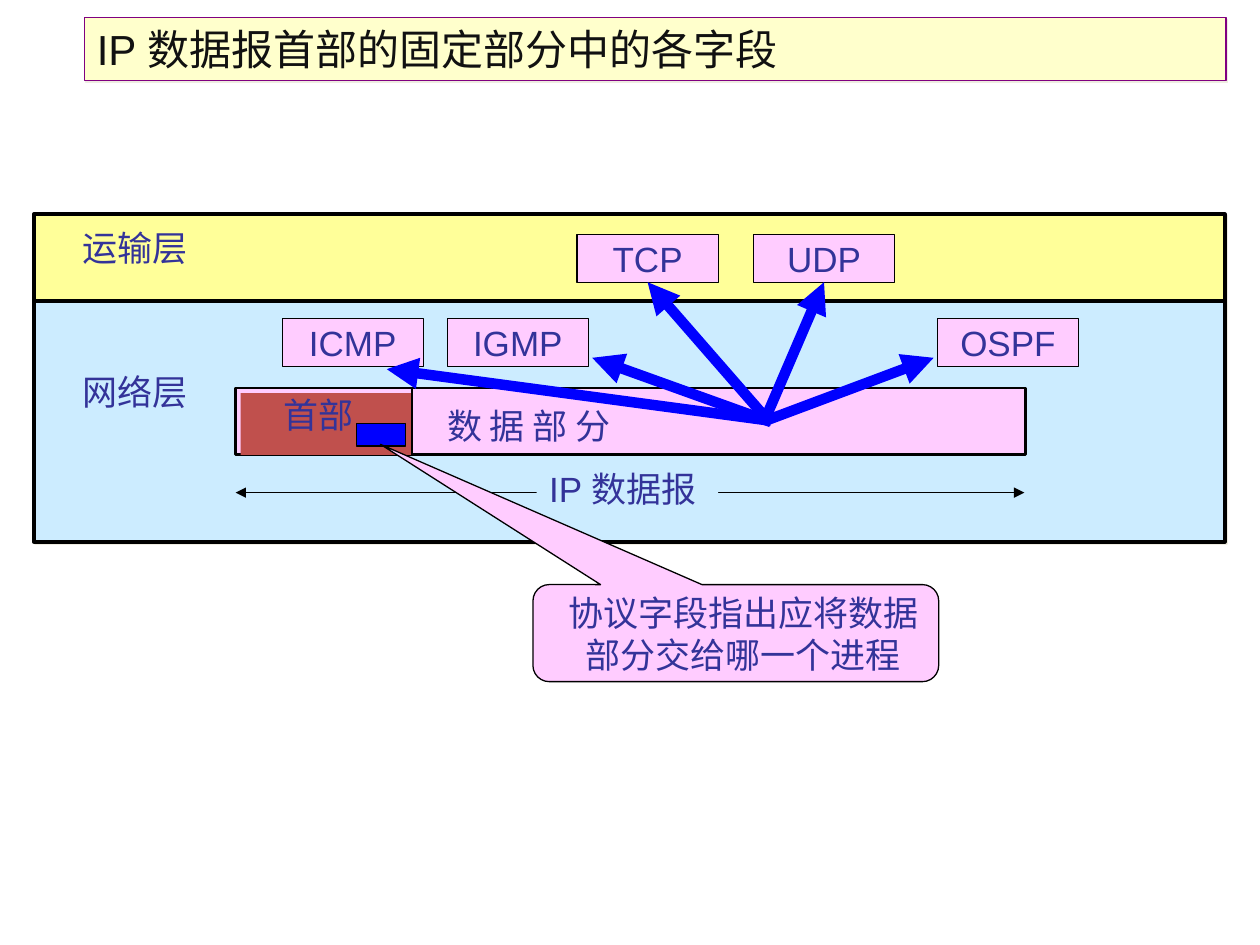
import pptx
import pptx.util
from pptx.dml.color import RGBColor
from pptx.enum.shapes import MSO_CONNECTOR, MSO_SHAPE
from pptx.enum.text import MSO_ANCHOR, PP_ALIGN
from pptx.oxml import parse_xml
from pptx.oxml.ns import nsdecls, qn
from pptx.util import Inches

BLACK, BLUE, PINK, SKY = "000000", "0000FF", "FFCCFF", "CCECFF"
SHADE = (
    "<a:effectLst %s><a:outerShdw dist='17780' dir='2700000' algn='ctr' rotWithShape='0'>"
    "<a:srgbClr val='EEECE1'/></a:outerShdw></a:effectLst>" % nsdecls("a")
)


def hue(code):
    return RGBColor.from_string(code)


def write(shape, text, size=20, color="333399", align=PP_ALIGN.LEFT,
          anchor=MSO_ANCHOR.TOP, wrap=False, left=0.1, right=0.1):
    """Fill a shape with text, one paragraph per line."""
    frame = shape.text_frame
    frame.word_wrap = wrap
    frame.vertical_anchor = anchor
    frame.margin_left, frame.margin_right = Inches(left), Inches(right)
    frame.margin_top = frame.margin_bottom = Inches(0.05)
    frame.text = text
    for para in frame.paragraphs:
        para.alignment = align
        para.font.size = pptx.util.Pt(size)
        para.font.name = "Arial"
        para.font.color.rgb = hue(color)


class Board:
    def __init__(self, slide, edge=BLACK, thin=0.75):
        self.slide, self.edge, self.thin = slide, edge, thin

    def box(self, x, y, w, h, fill, line=None, width=None, shade=False,
            kind=MSO_SHAPE.RECTANGLE):
        shape = self.slide.shapes.add_shape(kind, *map(Inches, (x, y, w, h)))
        shape.fill.solid()
        shape.fill.fore_color.rgb = hue(fill)
        if line:
            shape.line.color.rgb = hue(line)
            shape.line.width = pptx.util.Pt(width or self.thin)
        else:
            shape.line.fill.background()
        shape.shadow.inherit = False
        if shade:
            props = shape._element.spPr
            props.replace(props.find(qn("a:effectLst")), parse_xml(SHADE))
        return shape

    def label(self, x, y, w, text, h=0.44):
        """Place one line of text, with no right margin so that it fits."""
        area = self.slide.shapes.add_textbox(*map(Inches, (x, y, w, h)))
        write(area, text, right=0)

    def proto(self, x, y, name):
        shape = self.box(x, y, 1.12, 0.38, PINK, self.edge)
        write(shape, name, align=PP_ALIGN.CENTER, anchor=MSO_ANCHOR.MIDDLE)
        return shape

    def line(self, start, end, color=None, width=None, tips=()):
        """Draw a line; tips names the arrowed ends, headEnd before tailEnd."""
        link = self.slide.shapes.add_connector(
            MSO_CONNECTOR.STRAIGHT, *map(Inches, (*start, *end)))
        link.line.color.rgb = hue(color or self.edge)
        link.line.width = pptx.util.Pt(width or self.thin)
        for tip in tips:
            mark = parse_xml("<a:%s %s type='triangle'/>" % (tip, nsdecls("a")))
            link.line._get_or_add_ln().append(mark)
        link._element.spPr.append(parse_xml("<a:effectLst %s/>" % nsdecls("a")))
        return link


def main():
    deck = pptx.Presentation()
    deck.slide_width, deck.slide_height = Inches(10), Inches(7.5)
    board = Board(deck.slides.add_slide(deck.slide_layouts[6]))

    # Layers and the datagram
    board.box(0.27, 1.7, 9.45, 0.69, "FFFF99", BLACK, 2.25, shade=True)
    board.box(0.27, 2.39, 9.45, 1.91, SKY, BLACK, 2.25, shade=True)
    board.box(1.87, 3.08, 6.27, 0.53, PINK, BLACK, 1.5)
    board.box(1.91, 3.12, 1.36, 0.49, "C0504D")
    board.line((3.27, 3.08), (3.27, 3.61))
    board.label(0.56, 1.75, 1.03, "运输层")
    board.label(0.56, 2.89, 1.03, "网络层")
    board.label(2.15, 3.07, 0.75, "首部")

    # Protocols
    tcp = board.proto(4.58, 1.86, "TCP")
    udp = board.proto(5.98, 1.86, "UDP")
    for x, name in ((2.24, "ICMP"), (3.55, "IGMP"), (7.44, "OSPF")):
        board.proto(x, 2.53, name)

    # Delivery arrows from the data part
    routes = (
        ((6.08, 3.31), (6.54, 2.24), udp),
        ((6.09, 3.33), (5.14, 2.24), tcp),
        ((6.12, 3.35), (4.7, 2.84), None),
        ((6.12, 3.34), (3.07, 2.93), None),
        ((6.1, 3.33), (7.41, 2.84), None),
    )
    for start, end, goal in routes:
        arrow = board.line(start, end, BLUE, 6, ["tailEnd"])
        if goal is not None:
            arrow.end_connect(goal, 2)
    board.label(3.45, 3.16, 1.5, "数 据 部 分")

    # Datagram extent
    board.line((1.87, 3.91), (8.13, 3.91), tips=["headEnd", "tailEnd"])
    write(board.box(4.26, 3.66, 1.44, 0.44, SKY), "IP 数据报")

    # Protocol field and its note
    board.box(2.83, 3.36, 0.39, 0.18, BLUE, BLACK)
    note = board.box(4.23, 4.64, 3.22, 0.77, PINK, BLACK,
                     kind=MSO_SHAPE.ROUNDED_RECTANGULAR_CALLOUT)
    for i, value in enumerate((-0.876, -1.946, 0.167)):
        note.adjustments[i] = value
    write(note, "协议字段指出应将数据\n部分交给哪一个进程", align=PP_ALIGN.CENTER,
          anchor=MSO_ANCHOR.MIDDLE, left=0.2, right=0.08)

    title = board.box(0.67, 0.14, 9.06, 0.5, "FFFFCC", "800080", shade=True)
    write(title, "IP 数据报首部的固定部分中的各字段", size=24, color="111111", wrap=True)

    deck.save("out.pptx")


if __name__ == "__main__":
    main()
